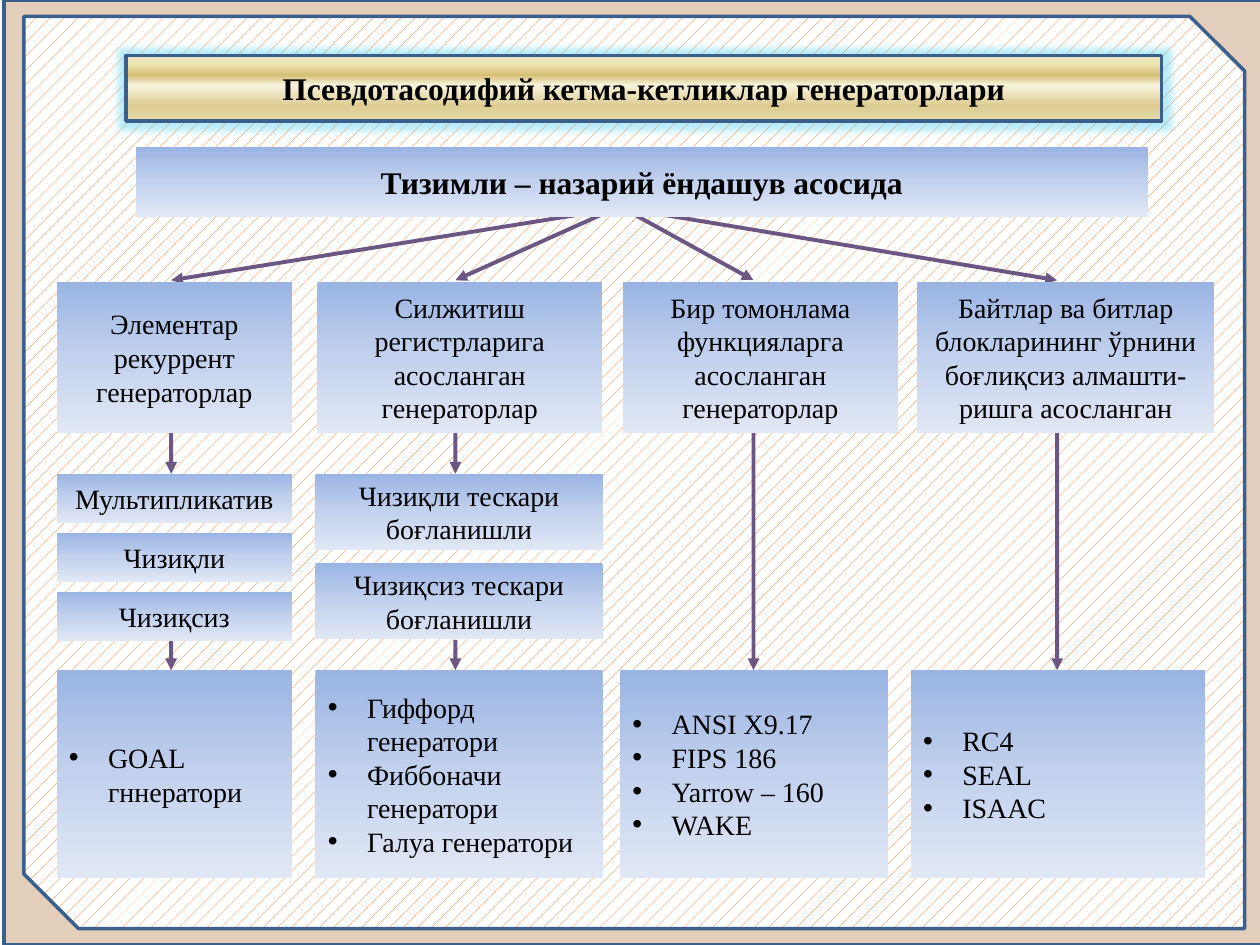
import pptx
import pptx.dml.color
import pptx.enum.dml
import pptx.enum.shapes
import pptx.enum.text
import pptx.oxml.ns
import pptx.util
from lxml import etree

TITLE = "Псевдотасодифий кетма-кетликлар генераторлари"
BANNER = "Тизимли – назарий ёндашув асосида"

COLUMNS = [
    {
        "heading": "Элементар рекуррент генераторлар",
        "kinds": ["Мультипликатив", "Чизиқли", "Чизиқсиз"],
        "examples": ["GOAL гннератори"],
        "heading_span": (1.14, 4.75), "example_span": (1.14, 4.75),
        "kind_height": 0.99, "kind_gap": 0.2,
        "arrow_start": 11.71, "arrow_x": 3.45,
    },
    {
        "heading": "Силжитиш регистрларига асосланган генераторлар",
        "kinds": ["Чизиқли тескари боғланишли", "Чизиқсиз тескари боғланишли"],
        "examples": ["Гиффорд генератори", "Фиббоначи генератори", "Галуа генератори"],
        "heading_span": (6.4, 5.74), "example_span": (6.36, 5.79),
        "kind_height": 1.54, "kind_gap": 0.26,
        "arrow_start": 12.14, "arrow_x": 9.18,
    },
    {
        "heading": "Бир томонлама функцияларга асосланган генераторлар",
        "kinds": [],
        "examples": ["ANSI X9.17", "FIPS 186", "Yarrow – 160", "WAKE"],
        "heading_span": (12.55, 5.56), "example_span": (12.5, 5.41),
        "arrow_start": 12.78, "arrow_x": 15.19,
    },
    {
        "heading": "Байтлар ва битлар блокларининг ўрнини боғлиқсиз алмашти-ришга асосланган",
        "kinds": [],
        "examples": ["RC4", "SEAL", "ISAAC"],
        "heading_span": (18.49, 5.99), "example_span": (18.36, 5.94),
        "arrow_start": 13.31, "arrow_x": 21.31,
    },
]

THEME = {
    "font": "Times New Roman",
    "title_size": 18,
    "body_size": 16,
    "text": "000000",
    "border": "3A5F8C",
    "backdrop": "984807",
    "hatch": "E46C0A",
    "paper": "FFFFFF",
    "arrow": "604A7B",
    "glow": "4BD0EE",
    "gold": [(0, "EBE3BD"), (12, "EFE6B6"), (30, "D4BF75"),
             (45, "F8F3DD"), (77, "DDCC92"), (100, "E6DCAC")],
    "blue": [(0, "9AB5E4"), (50, "C2D1ED"), (100, "E1E8F5")],
}

BANNER_BOX = (2.74, 2.97, 20.4, 1.4)
HEADING_TOP, HEADING_HEIGHT = 5.68, 3.05
KIND_TOP = 9.55
EXAMPLE_TOP, EXAMPLE_HEIGHT = 13.51, 4.19

Cm = pptx.util.Cm
qn = pptx.oxml.ns.qn
Shape = pptx.enum.shapes.MSO_SHAPE


def color(value):
    return pptx.dml.color.RGBColor.from_string(value)


def assign(target, values):
    for name, value in values.items():
        setattr(target, name, value)


def add_child(parent, tag, **attributes):
    return etree.SubElement(parent, qn(tag), attributes)


def set_alpha(parent, percent):
    for element in parent.iter(qn("a:srgbClr")):
        add_child(element, "a:alpha", val=str(percent * 1000))


def set_gradient(shape, stops):
    shape.fill.gradient()
    shape.fill.gradient_angle = 270
    stop_list = shape._element.spPr.find(qn("a:gradFill")).find(qn("a:gsLst"))
    for stop in list(stop_list):
        stop_list.remove(stop)
    for position, value in stops:
        stop = add_child(stop_list, "a:gs", pos=str(position * 1000))
        add_child(stop, "a:srgbClr", val=value)


def set_border(shape):
    shape.line.color.rgb = color(THEME["border"])
    shape.line.width = pptx.util.Pt(2)


def add_shape(slide, kind, box):
    shape = slide.shapes.add_shape(kind, *map(Cm, box))
    shape.shadow.inherit = False
    return shape


def write(shape, lines, size, bold=False, bulleted=False):
    alignment = pptx.enum.text.PP_ALIGN
    frame = shape.text_frame
    assign(frame, {
        "word_wrap": True,
        "auto_size": pptx.enum.text.MSO_AUTO_SIZE.NONE,
        "vertical_anchor": pptx.enum.text.MSO_ANCHOR.MIDDLE,
    })
    for index, line in enumerate(lines):
        paragraph = frame.add_paragraph() if index else frame.paragraphs[0]
        paragraph.alignment = alignment.LEFT if bulleted else alignment.CENTER
        if bulleted:
            properties = paragraph._p.get_or_add_pPr()
            properties.set("marL", str(Cm(0.79)))
            properties.set("indent", str(Cm(-0.79)))
            add_child(properties, "a:buFont", typeface="Arial")
            add_child(properties, "a:buChar", char="•")
        run = paragraph.add_run()
        run.text = line
        assign(run.font, {"name": THEME["font"], "size": pptx.util.Pt(size), "bold": bold})
        run.font.color.rgb = color(THEME["text"])


def add_block(slide, box, lines, size=THEME["body_size"], **style):
    block = add_shape(slide, Shape.RECTANGLE, box)
    set_gradient(block, THEME["blue"])
    block.line.fill.background()
    write(block, lines, size, **style)


def add_arrow(slide, start, end):
    arrow = slide.shapes.add_connector(
        pptx.enum.shapes.MSO_CONNECTOR.STRAIGHT, *map(Cm, start + end))
    arrow.line.color.rgb = color(THEME["arrow"])
    arrow.line.width = pptx.util.Pt(2.25)
    line = arrow.line._get_or_add_ln()
    set_alpha(line, 92)
    add_child(line, "a:tailEnd", type="triangle")
    add_child(arrow._element.spPr, "a:effectLst")


def add_frame(slide):
    backdrop = add_shape(slide, Shape.RECTANGLE, (0.08, 0, 25.4, 19.05))
    backdrop.fill.solid()
    backdrop.fill.fore_color.rgb = color(THEME["backdrop"])
    set_alpha(backdrop._element.spPr, 27)
    set_border(backdrop)

    panel = add_shape(slide, Shape.SNIP_2_DIAG_RECTANGLE, (0.48, 0.33, 24.61, 18.39))
    panel.adjustments[0], panel.adjustments[1] = 0, 0.06
    panel.fill.patterned()
    panel.fill.pattern = pptx.enum.dml.MSO_PATTERN.PERCENT_10
    panel.fill.fore_color.rgb = color(THEME["hatch"])
    panel.fill.back_color.rgb = color(THEME["paper"])
    set_border(panel)


def add_title(slide):
    title = slide.shapes.title
    slide.shapes._spTree.append(title._element)
    assign(title, {"left": Cm(2.54), "top": Cm(1.12), "width": Cm(20.88), "height": Cm(1.32)})
    set_gradient(title, THEME["gold"])
    set_border(title)
    title.shadow.inherit = False
    effects = title._element.spPr.find(qn("a:effectLst"))
    glow = add_child(effects, "a:glow", rad=str(Cm(0.28)))
    add_child(glow, "a:srgbClr", val=THEME["glow"])
    set_alpha(glow, 40)
    write(title, [TITLE], THEME["title_size"], bold=True)


def add_column_arrows(slide, column):
    x = column["arrow_x"]
    heading_bottom = HEADING_TOP + HEADING_HEIGHT
    add_arrow(slide, (column["arrow_start"], 4.32), (x, HEADING_TOP - 0.03))
    if column["kinds"]:
        add_arrow(slide, (x, heading_bottom), (x, KIND_TOP))
        add_arrow(slide, (x, 12.9), (x, EXAMPLE_TOP))
    else:
        add_arrow(slide, (x, heading_bottom), (x, EXAMPLE_TOP))


def add_column_blocks(slide, column):
    left, width = column["heading_span"]
    add_block(slide, (left, HEADING_TOP, width, HEADING_HEIGHT), [column["heading"]])
    left, width = column["example_span"]
    for index, kind in enumerate(column["kinds"]):
        height = column["kind_height"]
        top = KIND_TOP + index * (height + column["kind_gap"])
        add_block(slide, (left, top, width, height), [kind])
    add_block(slide, (left, EXAMPLE_TOP, width, EXAMPLE_HEIGHT),
              column["examples"], bulleted=True)


def main():
    presentation = pptx.Presentation()
    assign(presentation, {"slide_width": Cm(25.4), "slide_height": Cm(19.05)})
    slide = presentation.slides.add_slide(presentation.slide_layouts[5])
    add_frame(slide)
    add_title(slide)
    for column in COLUMNS:
        add_column_arrows(slide, column)
    add_block(slide, BANNER_BOX, [BANNER], THEME["title_size"], bold=True)
    for column in COLUMNS:
        add_column_blocks(slide, column)
    presentation.save("out.pptx")


if __name__ == "__main__":
    main()
